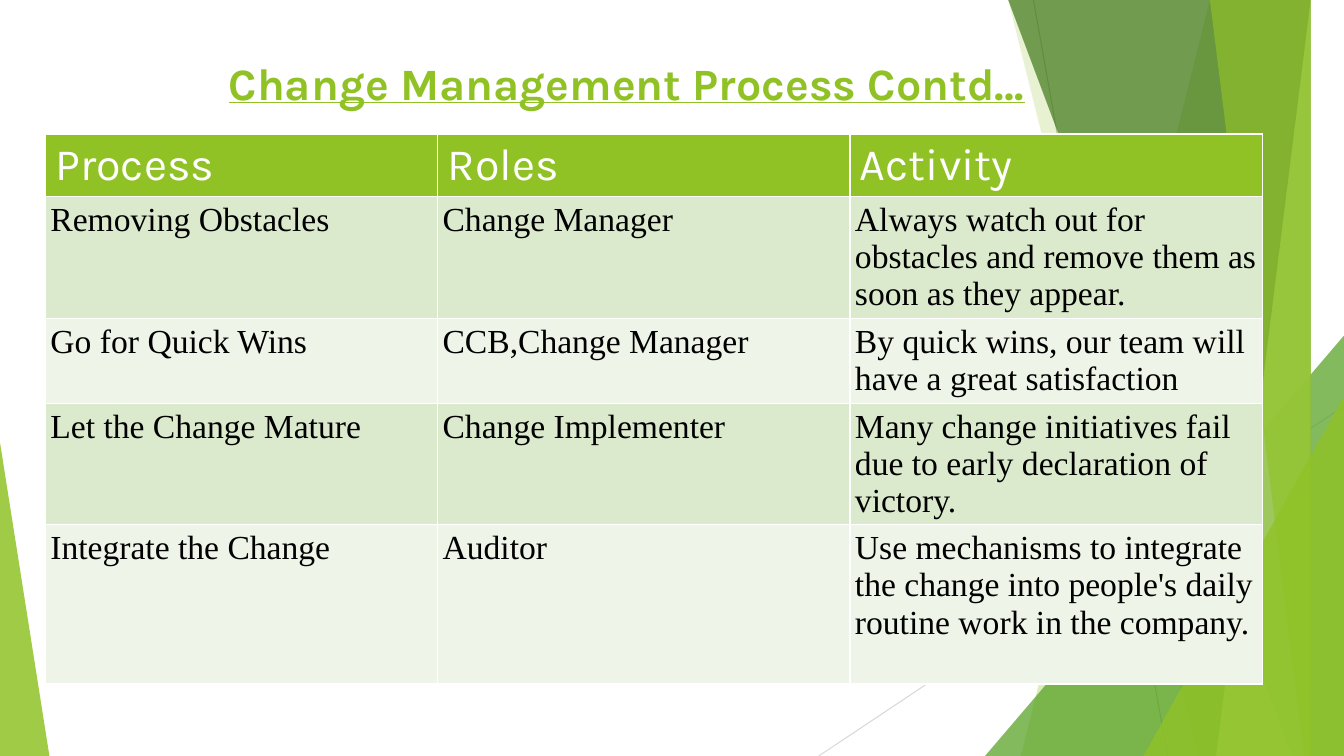
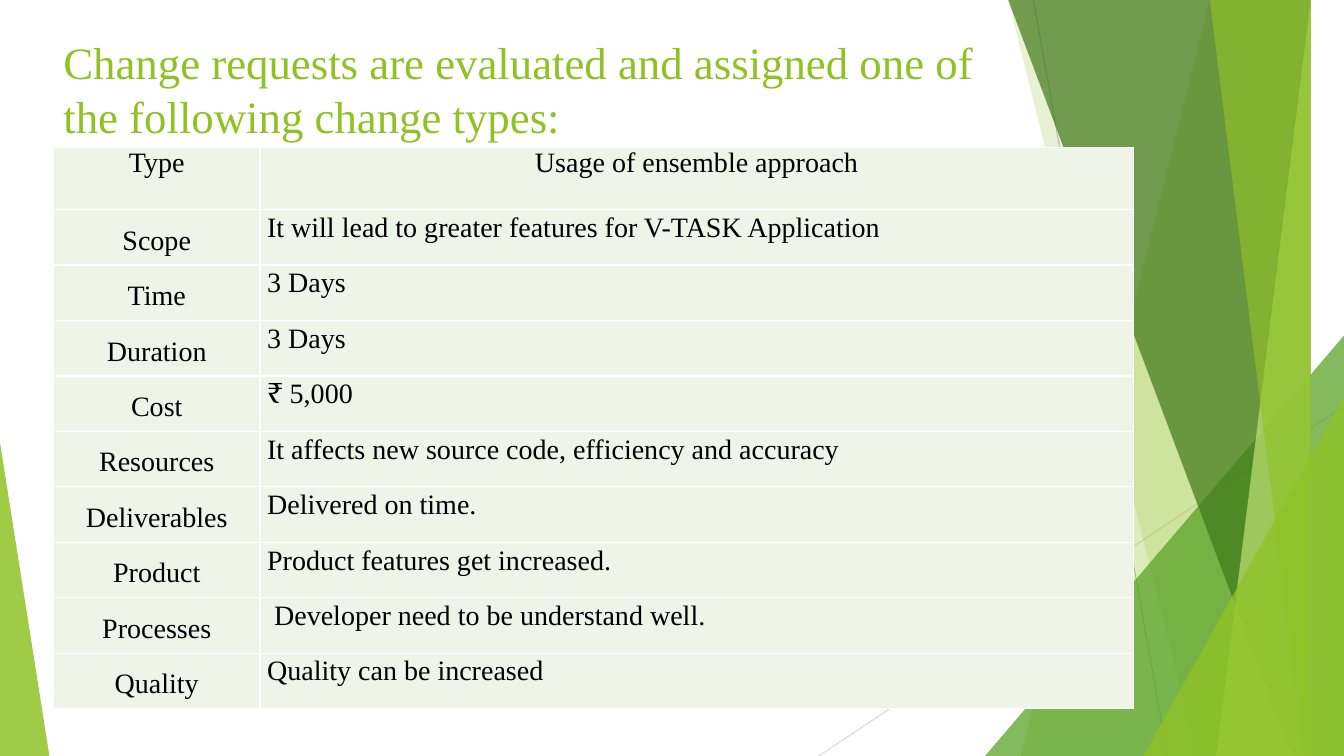
from lxml.etree import SubElement
from pptx import Presentation
from pptx.dml.color import RGBColor
from pptx.enum.shapes import MSO_CONNECTOR, MSO_SHAPE
from pptx.enum.text import MSO_ANCHOR, PP_ALIGN
from pptx.oxml.ns import qn
from pptx.util import Inches, Pt

# Content
STEPS = [
    ("Process", "Roles", "Activity"),
    ("Removing Obstacles", "Change Manager",
     "Always watch out for obstacles and remove them as soon as they appear."),
    ("Go for Quick Wins", "CCB,Change Manager",
     "By quick wins, our team will have a great satisfaction"),
    ("Let the Change Mature", "Change Implementer",
     "Many change initiatives fail due to early declaration of victory."),
    ("Integrate the Change", "Auditor",
     "Use mechanisms to integrate the change into people's daily routine "
     "work in the company."),
]
TYPES = [
    ("Type", "Usage of ensemble approach"),
    ("Scope", "It will lead to greater features for V-TASK Application"),
    ("Time", "3 Days"),
    ("Duration", "3 Days"),
    ("Cost", "₹ 5,000"),
    ("Resources", "It affects new source code, efficiency and accuracy"),
    ("Deliverables", "Delivered on time."),
    ("Product", "Product features get increased."),
    ("Processes", " Developer need to be understand well."),
    ("Quality", "Quality can be increased"),
]

# Shared look
HUES = {
    "lime": "90C226", "green": "54A021", "dark": "3F7819", "pale": "C0E474",
    "white": "FFFFFF", "black": "000000", "band": "DBE9CD", "light": "EEF4E8",
    "gray": "BFBFBF", "mist": "D9D9D9",
}
SANS, SERIF = "Karla", "Times New Roman"
WIDE, HIGH = 13.33, 7.5
RAYS = [
    ((10.25, 0, 11.58, HIGH), "gray"),
    ((WIDE, 4.03, 8.12, HIGH), "mist"),
]
# Slanted bands: top left x, bottom left x, hue, opacity in percent
BACK = [(12.28, 10.04, "lime", 30), (10.5, 11.83, "lime", 20)]
FRONT = [(10.21, 12.91, "dark", 70), (13.03, 11.92, "pale", 70),
         (11.96, 13.18, "lime", 65)]
# Corner wedges: left, top, width, apex, hue, opacity in percent
MID = (9.77, 3.33, 3.56, 1, "green", 72)
ENDS = [(11.34, 3.93, 1.99, 1, "lime", 80), (0, 4.39, 0.49, 0, "lime", 85)]


def tint(name):
    return RGBColor.from_string(HUES[name])


def paint(shape, hue, alpha):
    shape.shadow.inherit = False
    shape.line.fill.background()
    shape.fill.solid()
    shape.fill.fore_color.rgb = tint(hue)
    color = shape.fill._xPr.find(qn("a:solidFill"))[0]
    SubElement(color, qn("a:alpha"), val=str(alpha * 1000))


def slant(slide, top, foot, hue, alpha):
    pen = slide.shapes.build_freeform(top, -0.01, scale=float(Inches(1)))
    pen.add_line_segments([(WIDE, -0.01), (WIDE, HIGH), (foot, HIGH)])
    paint(pen.convert_to_shape(), hue, alpha)


def wedge(slide, left, top, width, apex, hue, alpha):
    shape = slide.shapes.add_shape(
        MSO_SHAPE.ISOSCELES_TRIANGLE, Inches(left), Inches(top),
        Inches(width), Inches(HIGH - top))
    shape.adjustments[0] = apex
    paint(shape, hue, alpha)


def backdrop(slide):
    for ends, hue in RAYS:
        ray = slide.shapes.add_connector(
            MSO_CONNECTOR.STRAIGHT, *[Inches(v) for v in ends])
        ray.line.color.rgb = tint(hue)
        ray.line.width = Pt(0.75)
        SubElement(ray._element.spPr, qn("a:effectLst"))
    for band in BACK:
        slant(slide, *band)
    wedge(slide, *MID)
    for band in FRONT:
        slant(slide, *band)
    for part in ENDS:
        wedge(slide, *part)


def style(para, font, size, hue):
    for run in para.runs:
        run.font.name = font
        run.font.size = Pt(size)
        run.font.color.rgb = tint(hue)


def title(slide, text, spot, font, strong=False):
    box = slide.shapes.add_textbox(*[Inches(v) for v in spot])
    frame = box.text_frame
    frame.word_wrap = True
    frame.vertical_anchor = MSO_ANCHOR.TOP
    frame.text = text
    para = frame.paragraphs[0]
    style(para, font, 32, "lime")
    if strong:
        para.runs[0].font.bold = True
        para.runs[0].font.underline = True


def edge(cell):
    props = cell._tc.get_or_add_tcPr()
    for side in ("lnL", "lnR", "lnT", "lnB"):
        line = SubElement(props, qn("a:" + side), w=str(Pt(1)))
        fill = SubElement(line, qn("a:solidFill"))
        SubElement(fill, qn("a:srgbClr"), val=HUES["white"])


def pad(cell, side, top, foot):
    cell.margin_left = cell.margin_right = Inches(side)
    cell.margin_top, cell.margin_bottom = Inches(top), Inches(foot)


def grid(slide, data, left, top, cols, rows, dress):
    table = slide.shapes.add_table(
        len(rows), len(cols), Inches(left), Inches(top),
        Inches(sum(cols)), Inches(sum(rows))).table
    table.first_row = table.horz_banding = False
    for col, width in zip(table.columns, cols):
        col.width = Inches(width)
    for row, height in zip(table.rows, rows):
        row.height = Inches(height)
    for r, texts in enumerate(data):
        for c, text in enumerate(texts):
            cell = table.cell(r, c)
            cell.text_frame.text = text
            edge(cell)
            cell.fill.solid()
            cell.fill.fore_color.rgb = tint(dress(cell, r, c))


# Each dresser formats one cell and returns its fill
def step(cell, r, c):
    para = cell.text_frame.paragraphs[0]
    if r == 0:
        pad(cell, 0.1, 0.05, 0.05)
        style(para, SANS, 32, "white")
        return "lime"
    pad(cell, 0.05, 0.05, 0.05)
    style(para, SERIF, 24, "black")
    return "band" if r % 2 else "light"


def kind(cell, r, c):
    para = cell.text_frame.paragraphs[0]
    style(para, SERIF, 20, "black")
    pad(cell, 0.07, 0, 0)
    if r == 0 or c == 0:
        para.alignment = PP_ALIGN.CENTER
    if r and c:
        pad(cell, 0.07, 0.17, 0)
        para.line_spacing = Pt(12)
    elif r:
        para.line_spacing = 1.5
    return "light"


deck = Presentation()
deck.slide_width, deck.slide_height = Inches(WIDE), Inches(HIGH)
blank = deck.slide_layouts[6]

# Process steps
page = deck.slides.add_slide(blank)
backdrop(page)
grid(page, STEPS, 0.45, 1.33, [3.89, 4.09, 4.09],
     [0.62, 1.21, 0.84, 1.2, 1.58], step)
title(page, "Change Management Process Contd…", (2.17, 0.5, 8.83, 0.83),
      SANS, strong=True)

# Change types
page = deck.slides.add_slide(blank)
backdrop(page)
title(page, "Change requests are evaluated and assigned one of the following "
      "change types:", (0.53, 0.3, 9.75, 1.4), SERIF)
grid(page, TYPES, 0.53, 1.46, [2.05, 8.66], [0.62] + [0.55] * 9, kind)

deck.save("out.pptx")
